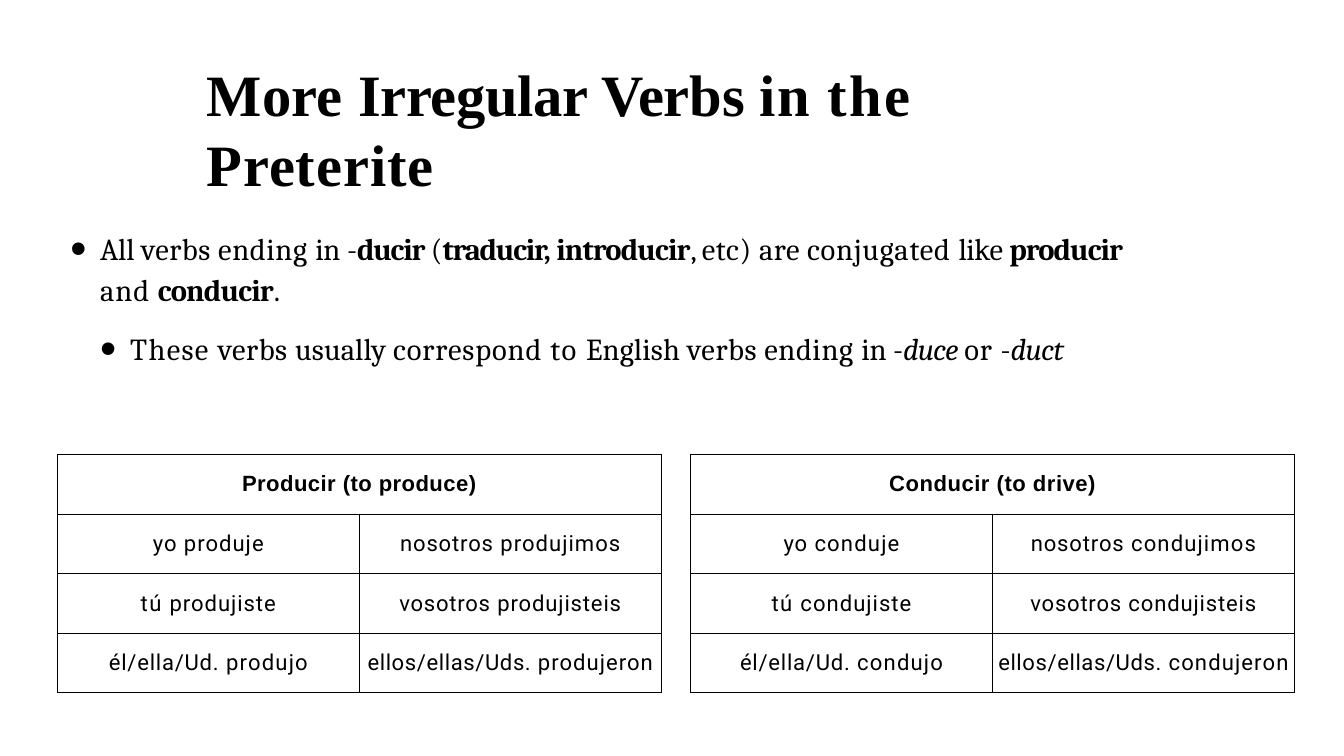
from lxml import etree
from pptx import Presentation
from pptx.dml.color import RGBColor
from pptx.enum.text import PP_ALIGN
from pptx.oxml.ns import qn
from pptx.util import Inches, Pt

CENTER = PP_ALIGN.CENTER
COLORS = {"ink": "000000"}
SERIF, BODY, HEAD, CELL = "Times New Roman", "Cambria", "Arial", "Roboto"

TITLE = [("More ", 0.4, "b"), ("Irregular ", -0.5, "b"), ("Verbs ", -0.1, "b"),
         ("in ", 1.7, "b"), ("the ", 2.9, "b"), ("Preterite", 1.1, "b")]

RULE = [("All ", -0.3, ""), ("verbs ending ", 0.7, ""), ("in ", -0.3, ""),
        ("-", -1.4, ""), ("ducir ", -1.4, "b"), ("(", -1.4, ""),
        ("traducir, ", -1.4, "b"), ("introducir", -1, "b"), (", ", -1, ""),
        ("etc) ", 0.7, ""), ("are ", 0.5, ""), ("conjugated ", 0.9, ""),
        ("like ", -0.5, ""), ("producir", -1.1, "b")]
REST = [("and ", 1.1, ""), ("conducir", -0.9, "b"), (".", -0.9, "")]
HINT = [("These ", 1.6, ""), ("verbs ", 0.7, ""), ("usually ", 0.1, ""),
        ("correspond ", 1.1, ""), ("to ", 1.8, ""), ("English ", 0.2, ""),
        ("verbs ending ", 0.7, ""), ("in ", -0.3, ""), ("-", -1.1, ""),
        ("duce ", -1.1, "i"), ("or ", 1.1, ""), ("-", -0.9, ""),
        ("duct", -0.9, "i")]

PERSONS = [[("yo ", 1), ("nosotros ", 1)],
           [("tú ", 1.6), ("vosotros ", 0.9)],
           [("él/ella/Ud. ", 0.9), ("ellos/ellas/Uds. ", 0.7)]]
VERBS = [
    ("Producir (to produce)", 0.5, "produj", [1.2, 1.2, 1.1, 1, 1.4, 1.2]),
    ("Conducir (to drive)", 0.6, "conduj", [1.4, 1.3, 1.2, 1, 1.4, 1.3]),
]
ENDINGS = [["e", "imos"], ["iste", "isteis"], ["o", "eron"]]


def color(name):
    return RGBColor.from_string(COLORS[name])


def add_runs(para, parts, font, size):
    for text, gap, style in parts:
        run = para.add_run()
        run.text = text
        run.font.name = font
        run.font.size = Pt(size)
        run.font.bold = style == "b"
        run.font.italic = style == "i"
        run.font.color.rgb = color("ink")
        run.font._element.set("spc", str(round(gap * 100)))


def add_box(slide, left, top, width, height, inset):
    box = slide.shapes.add_textbox(Inches(left), Inches(top),
                                   Inches(width), Inches(height))
    frame = box.text_frame
    frame.word_wrap = True
    frame.margin_left = frame.margin_right = frame.margin_bottom = 0
    frame.margin_top = Inches(inset)
    return frame


def set_list(para, left, hang, mark):
    props = para._p.get_or_add_pPr()
    props.set("marL", str(Inches(left)))
    props.set("indent", str(Inches(-hang)))
    if mark:
        etree.SubElement(props, qn("a:buSzPct"), val="151000")
        etree.SubElement(props, qn("a:buFont"), typeface=HEAD)
        etree.SubElement(props, qn("a:buChar"), char="•")


def add_title(slide):
    frame = add_box(slide, 3.38, 0.64, 15.22, 2.22, 0.3)
    para = frame.paragraphs[0]
    para.space_before = Pt(1.2)
    add_runs(para, TITLE, SERIF, 69)


def add_notes(slide):
    frame = add_box(slide, 1.13, 3.67, 19.19, 2.4, 0.09)
    rows = [(RULE, 0, 0.51, 0.49, 6.8), (REST, 0, 0.51, 0, 5.8),
            (HINT, 1, 1, 0.49, 25.6)]
    for pos, (parts, level, left, hang, gap) in enumerate(rows):
        para = frame.add_paragraph() if pos else frame.paragraphs[0]
        para.level = level
        para.space_before = Pt(gap)
        set_list(para, left, hang, hang > 0)
        add_runs(para, parts, BODY, 36)


def set_edges(cell):
    cell.fill.background()
    props = cell._tc.get_or_add_tcPr()
    for pos, side in enumerate(("lnL", "lnR", "lnT", "lnB")):
        line = etree.Element(qn("a:" + side), w=str(Pt(1)))
        fill = etree.SubElement(line, qn("a:solidFill"))
        etree.SubElement(fill, qn("a:srgbClr"), val=COLORS["ink"])
        props.insert(pos, line)


def fill_cell(cell, parts, font):
    cell.margin_left = cell.margin_right = cell.margin_bottom = 0
    cell.margin_top = Inches(0.28)
    para = cell.text_frame.paragraphs[0]
    para.alignment = CENTER
    para.space_before = Pt(20.2)
    add_runs(para, parts, font, 26)


def add_verb(slide, left, head, gap, stem, gaps):
    shape = slide.shapes.add_table(4, 2, Inches(left), Inches(7.44),
                                   Inches(9.88), Inches(3.89))
    table = shape.table
    table.first_row = table.horz_banding = False
    for cell in table.iter_cells():
        set_edges(cell)
    table.cell(0, 0).merge(table.cell(0, 1))
    fill_cell(table.cell(0, 0), [(head, gap, "b")], HEAD)
    for row, (people, ends) in enumerate(zip(PERSONS, ENDINGS)):
        for col, ((person, space), end) in enumerate(zip(people, ends)):
            parts = [(person, space, ""),
                     (stem + end, gaps[2 * row + col], "")]
            fill_cell(table.cell(row + 1, col), parts, CELL)


def main():
    deck = Presentation()
    deck.slide_width = Inches(21.99)
    deck.slide_height = Inches(12.37)
    slide = deck.slides.add_slide(deck.slide_layouts[6])
    add_title(slide)
    add_notes(slide)
    for pos, verb in enumerate(VERBS):
        add_verb(slide, 0.94 + pos * 10.36, *verb)
    deck.save("out.pptx")


main()
